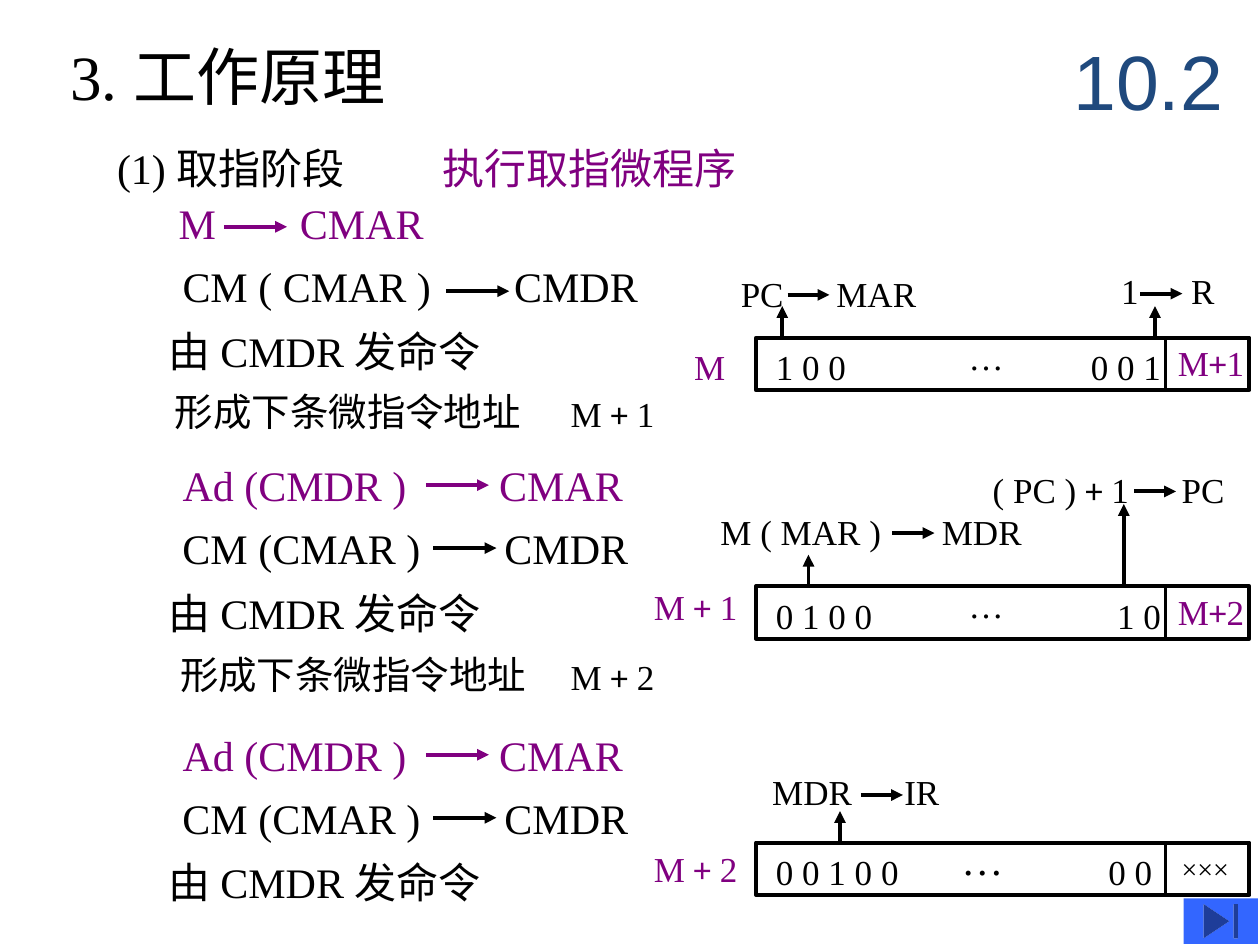
from dataclasses import dataclass
from itertools import chain
from typing import Optional

from lxml.etree import SubElement
from pptx import Presentation
from pptx.dml.color import RGBColor
from pptx.enum.shapes import MSO_CONNECTOR as Connector, MSO_SHAPE as Preset
from pptx.enum.text import MSO_ANCHOR as Anchor
from pptx.oxml.ns import qn
from pptx.util import Pt


@dataclass(frozen=True)
class Theme:
    black: RGBColor = RGBColor(0, 0, 0)
    purple: RGBColor = RGBColor(0x80, 0, 0x80)
    navy: RGBColor = RGBColor(0x1F, 0x49, 0x7D)
    blue: RGBColor = RGBColor(0x33, 0x66, 0xFF)
    serif: str = "Times New Roman"
    sans: str = "Arial"
    plus_font: str = "Calibri"
    title: float = 36
    chapter: float = 44
    step: float = 24
    address: float = 22
    label: float = 20
    mark: float = 16
    line: float = 2.25


THEME = Theme()


@dataclass(frozen=True)
class Transfer:
    """A register transfer: source, arrow, target; the target sits at a tab stop."""
    left: float
    top: float
    width: float
    source: str
    target: str
    tab: float
    arrow_left: float
    arrow_drop: float
    arrow_length: float = 24
    size: float = THEME.label
    color: RGBColor = THEME.black


@dataclass(frozen=True)
class Instruction:
    """One microinstruction word with its address and next address."""
    top: float
    address: str
    address_left: float
    address_shift: float
    bits: str
    low_bits: str
    tab: float
    following: Optional[str] = None


STEP = dict(size=THEME.step, arrow_length=36)


def fetch_group(top: float) -> list[Transfer]:
    return [
        Transfer(97.2, top, 270, "Ad (CMDR )", "CMAR", 181, 243.4, 18,
                 color=THEME.purple, **STEP),
        Transfer(97.2, top + 36, 272, "CM (CMAR )", "CMDR", 184, 247.7, 18, **STEP),
    ]


STEPS = [
    Transfer(95, 109.4, 156, "M", "CMAR", 69.3, 128, 20.2, color=THEME.purple, **STEP),
    Transfer(97.2, 145.4, 278, "CM ( CMAR )", "CMDR", 189.5, 255, 21, **STEP),
    *fetch_group(259.2),
    *fetch_group(413.3),
]
SIGNALS = [
    Transfer(416.2, 152, 118, "PC", "MAR", 54.6, 450, 16.5),
    Transfer(633.6, 150.5, 72, "1", "R", 40, 651.6, 17.3),
    Transfer(404.6, 288, 190, "M ( MAR )", "MDR", 126.5, 510, 16.6),
    Transfer(560.2, 264.2, 150, "( PC ) + 1", "PC", 108, 648, 16.6),
    Transfer(434.2, 437, 114, "MDR", "IR", 75.5, 492, 17.3),
]
WORD_LEFT, WORD_WIDTH, WORD_HEIGHT, NEXT_LEFT = 432, 282, 30, 666
WORDS = [
    Instruction(193, "M", 389.5, 1, "1 0 0", "0 0 1", 180, "M+1"),
    Instruction(335, "M + 1", 366.5, -3.8, "0 1 0 0", "1 0", 195, "M+2"),
    Instruction(481.5, "M + 2", 366.5, -1, "0 0 1 0 0", "0 0", 190),
]
# x, bottom and top of each control signal rising from a word
RISERS = [(447, 193, 175), (660, 193, 175), (462, 335, 317),
          (642.2, 335, 288), (480, 481.5, 463.5)]


def add_text(page, text: str, left: float, top: float, width: float, *,
             size: float = THEME.label, color: RGBColor = THEME.black,
             font: str = THEME.serif, tab: Optional[float] = None,
             height: Optional[float] = None, anchor=Anchor.TOP):
    """Places one line of text; plus signs in serif text get their own font."""
    box = page.shapes.add_textbox(Pt(left), Pt(top), Pt(width),
                                  Pt(height or size * 1.2 + 7.2))
    frame = box.text_frame
    frame.word_wrap = True
    frame.vertical_anchor = anchor
    para = frame.paragraphs[0]
    if tab is not None:
        tabs = SubElement(para._p.get_or_add_pPr(), qn("a:tabLst"))
        SubElement(tabs, qn("a:tab"), pos=str(Pt(tab)), algn="l")
    parts = text.split("+")
    pieces = chain([parts[0]], *(("+", part) for part in parts[1:]))
    for piece in pieces:
        span = para.add_run()
        span.text = piece
        span.font.name = THEME.plus_font if piece == "+" else font
        span.font.size = Pt(size)
        span.font.color.rgb = color


def add_line(page, x1: float, y1: float, x2: float, y2: float, *,
             color: RGBColor = THEME.black, arrow: bool = True):
    line = page.shapes.add_connector(Connector.STRAIGHT, Pt(x1), Pt(y1), Pt(x2), Pt(y2))
    line.line.color.rgb = color
    line.line.width = Pt(THEME.line)
    if arrow:
        SubElement(line.line._get_or_add_ln(), qn("a:tailEnd"), type="triangle")
    SubElement(line._element.spPr, qn("a:effectLst"))


def add_transfer(page, item: Transfer):
    add_text(page, f"{item.source}\t{item.target}", item.left, item.top, item.width,
             size=item.size, color=item.color, tab=item.tab)
    y = item.top + item.arrow_drop
    add_line(page, item.arrow_left, y, item.arrow_left + item.arrow_length, y,
             color=item.color)


def add_instruction(page, word: Instruction):
    frame = page.shapes.add_shape(Preset.RECTANGLE, Pt(WORD_LEFT), Pt(word.top),
                                  Pt(WORD_WIDTH), Pt(WORD_HEIGHT))
    frame.shadow.inherit = False
    frame.fill.background()
    frame.line.color.rgb = THEME.black
    frame.line.width = Pt(THEME.line)
    add_text(page, f"{word.bits}\t{word.low_bits}", 436.3, word.top + 1, 240, tab=word.tab)
    add_line(page, NEXT_LEFT, word.top, NEXT_LEFT, word.top + WORD_HEIGHT, arrow=False)
    add_text(page, word.address, word.address_left, word.top + word.address_shift, 65,
             color=THEME.purple)
    if word.following:
        add_text(page, word.following, NEXT_LEFT, word.top - 1.2, 54, color=THEME.purple)
        add_text(page, "…", 546.5, word.top - 5, 36)
    else:
        add_text(page, "×××", 668.2, word.top + 1.5, 44, size=THEME.mark)
        add_text(page, "…", 542.2, word.top - 8.5, 40, size=THEME.step)


def add_end_button(page):
    button = page.shapes.add_shape(Preset.ACTION_BUTTON_END, Pt(676.4), Pt(513.4),
                                   Pt(42.4), Pt(26))
    button.shadow.inherit = False
    button.fill.solid()
    button.fill.fore_color.rgb = THEME.blue
    button.line.fill.background()


def main():
    deck = Presentation()
    deck.slide_width, deck.slide_height = Pt(720), Pt(540)
    page = deck.slides.add_slide(deck.slide_layouts[6])

    add_text(page, "3. 工作原理", 33, 18, 212, size=THEME.title)
    add_text(page, "10.2", 606.2, 12.2, 113.8, size=THEME.chapter, color=THEME.navy,
             font=THEME.sans, height=66.2, anchor=Anchor.MIDDLE)
    add_text(page, "(1) 取指阶段", 59.8, 77.8, 160, size=THEME.step)
    add_text(page, "执行取指微程序", 245.5, 77.8, 190, size=THEME.step, color=THEME.purple)

    for item in STEPS + SIGNALS:
        add_transfer(page, item)
    for top in (182.2, 332, 486):
        add_text(page, "由 CMDR 发命令", 89.5, top, 210, size=THEME.step)
    for left, top, result_top, result in ((92.9, 218.2, 221, "M + 1"),
                                          (95.8, 368.6, 370.8, "M + 2")):
        add_text(page, "形成下条微指令地址", left, top, 220, size=THEME.address)
        add_text(page, result, 319, result_top, 65)

    for word in WORDS:
        add_instruction(page, word)
    for x, bottom, top in RISERS:
        add_line(page, x, bottom, x, top)
    add_end_button(page)
    deck.save("out.pptx")


if __name__ == "__main__":
    main()
